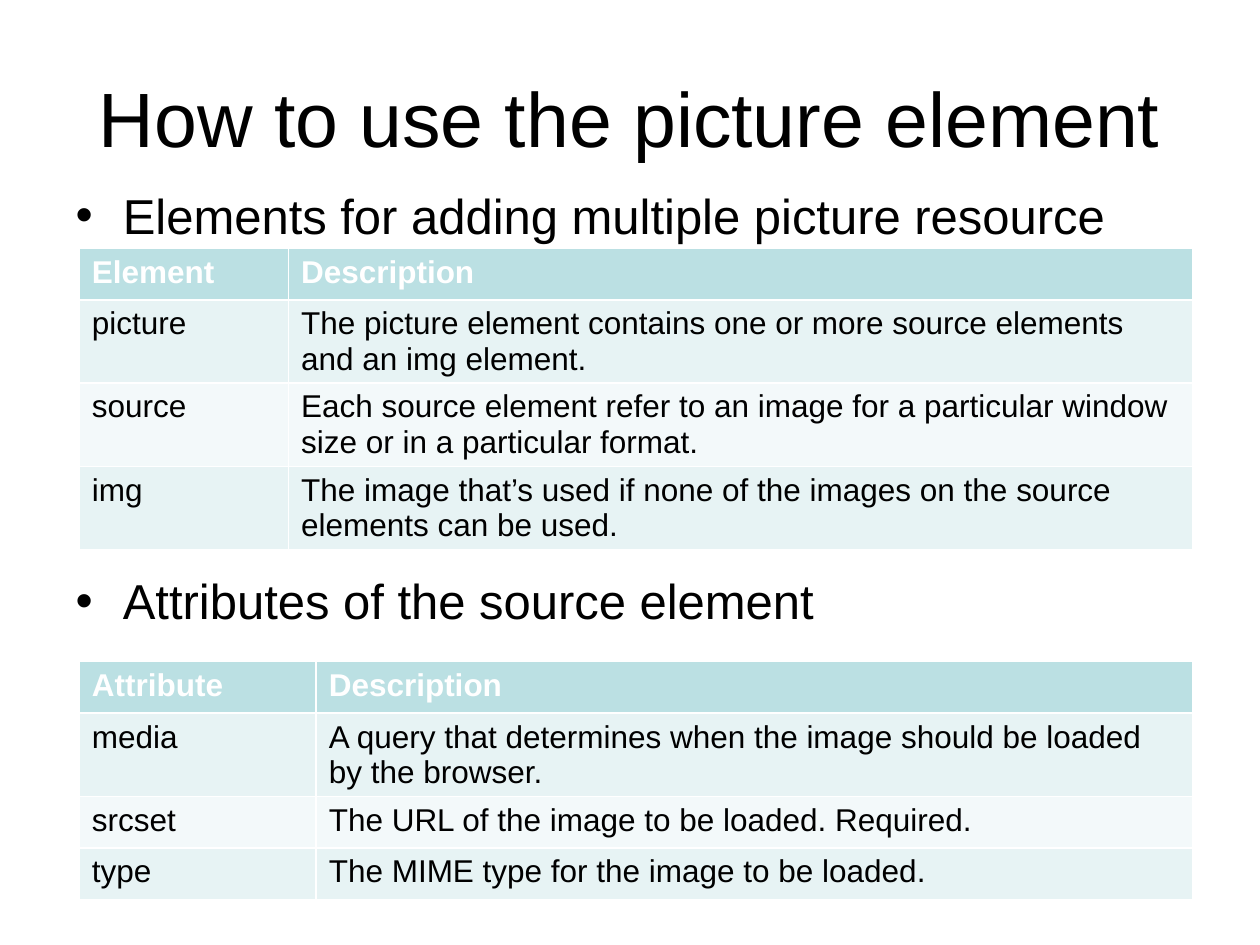
from dataclasses import dataclass
from typing import Any

from pptx import Presentation
from pptx.dml.color import RGBColor
from pptx.enum.text import MSO_ANCHOR as Anchor, MSO_AUTO_SIZE as AutoSize, PP_ALIGN as Align
from pptx.util import Inches, Pt

FONT = "Arial"
BLACK, WHITE = "000000", "FFFFFF"
HEADER_FILL = "BBE0E3"
BAND_FILLS = ("E7F3F4", "F3F9FA")
TABLE_LEFT, TABLE_WIDTH, ROW_HEIGHT = 0.63, 8.84, 0.41

TITLE_FONT = {"name": FONT, "size": Pt(44)}
BULLET_FONT = {"name": FONT, "size": Pt(28)}
HEADER_FONT = {"name": FONT, "size": Pt(18), "bold": True}
CELL_FONT = {**HEADER_FONT, "bold": False}


@dataclass(frozen=True)
class Glossary:
    top: float
    term_width: float
    rows: tuple[tuple[str, str], ...]


@dataclass(frozen=True)
class Bullet:
    text: str
    space_before: float


BULLETS = (
    Bullet("Elements for adding multiple picture resource", 0),
    Bullet("Attributes of the source element", 186.7),
)

GLOSSARIES = (
    Glossary(1.97, 1.66, (
        ("Element", "Description"),
        ("picture", "The picture element contains one or more source elements and an img element."),
        ("source", "Each source element refer to an image for a particular window size or in a particular format."),
        ("img", "The image that’s used if none of the images on the source elements can be used."),
    )),
    Glossary(5.25, 1.88, (
        ("Attribute", "Description"),
        ("media", "A query that determines when the image should be loaded by the browser."),
        ("srcset", "The URL of the image to be loaded. Required."),
        ("type", "The MIME type for the image to be loaded."),
    )),
)


def color(hex_value: str) -> RGBColor:
    return RGBColor.from_string(hex_value)


def apply(target: Any, values: dict[str, Any]) -> None:
    for key, value in values.items():
        setattr(target, key, value)


def write(paragraph: Any, text: str, font_values: dict[str, Any], ink: str = BLACK) -> None:
    run = paragraph.add_run()
    run.text = text
    apply(run.font, font_values)
    run.font.color.rgb = color(ink)


def place(placeholder: Any, left: float, top: float, width: float, height: float) -> None:
    apply(placeholder, {"left": Inches(left), "top": Inches(top),
                        "width": Inches(width), "height": Inches(height)})


def draw_title(heading: Any, text: str) -> None:
    place(heading, 0.5, 0.3, 9, 1.25)
    apply(heading.text_frame, {"vertical_anchor": Anchor.MIDDLE, "auto_size": AutoSize.NONE})
    paragraph = heading.text_frame.paragraphs[0]
    paragraph.alignment = Align.CENTER
    write(paragraph, text, TITLE_FONT)


def draw_bullets(body: Any, bullets: tuple[Bullet, ...]) -> None:
    place(body, 0.5, 1.42, 9, 4.95)
    frame = body.text_frame
    apply(frame, {"vertical_anchor": Anchor.TOP, "auto_size": AutoSize.NONE})
    for index, bullet in enumerate(bullets):
        paragraph = frame.add_paragraph() if index else frame.paragraphs[0]
        paragraph.space_before = Pt(bullet.space_before)
        write(paragraph, bullet.text, BULLET_FONT)


def draw_glossary(slide: Any, glossary: Glossary) -> None:
    row_count = len(glossary.rows)
    table = slide.shapes.add_table(
        row_count, 2, Inches(TABLE_LEFT), Inches(glossary.top),
        Inches(TABLE_WIDTH), Inches(ROW_HEIGHT * row_count)).table
    table.columns[0].width = Inches(glossary.term_width)
    table.columns[1].width = Inches(TABLE_WIDTH - glossary.term_width)
    for row_index, entries in enumerate(glossary.rows):
        is_header = row_index == 0
        fill = HEADER_FILL if is_header else BAND_FILLS[(row_index - 1) % 2]
        for column_index, text in enumerate(entries):
            cell = table.cell(row_index, column_index)
            cell.fill.solid()
            cell.fill.fore_color.rgb = color(fill)
            write(cell.text_frame.paragraphs[0], text,
                  HEADER_FONT if is_header else CELL_FONT,
                  WHITE if is_header else BLACK)


def main() -> None:
    deck = Presentation()
    apply(deck, {"slide_width": Inches(10), "slide_height": Inches(7.5)})
    slide = deck.slides.add_slide(deck.slide_layouts[1])
    draw_title(slide.shapes.title, "How to use the picture element")
    draw_bullets(slide.placeholders[1], BULLETS)
    for glossary in GLOSSARIES:
        draw_glossary(slide, glossary)
    deck.save("out.pptx")


if __name__ == "__main__":
    main()
